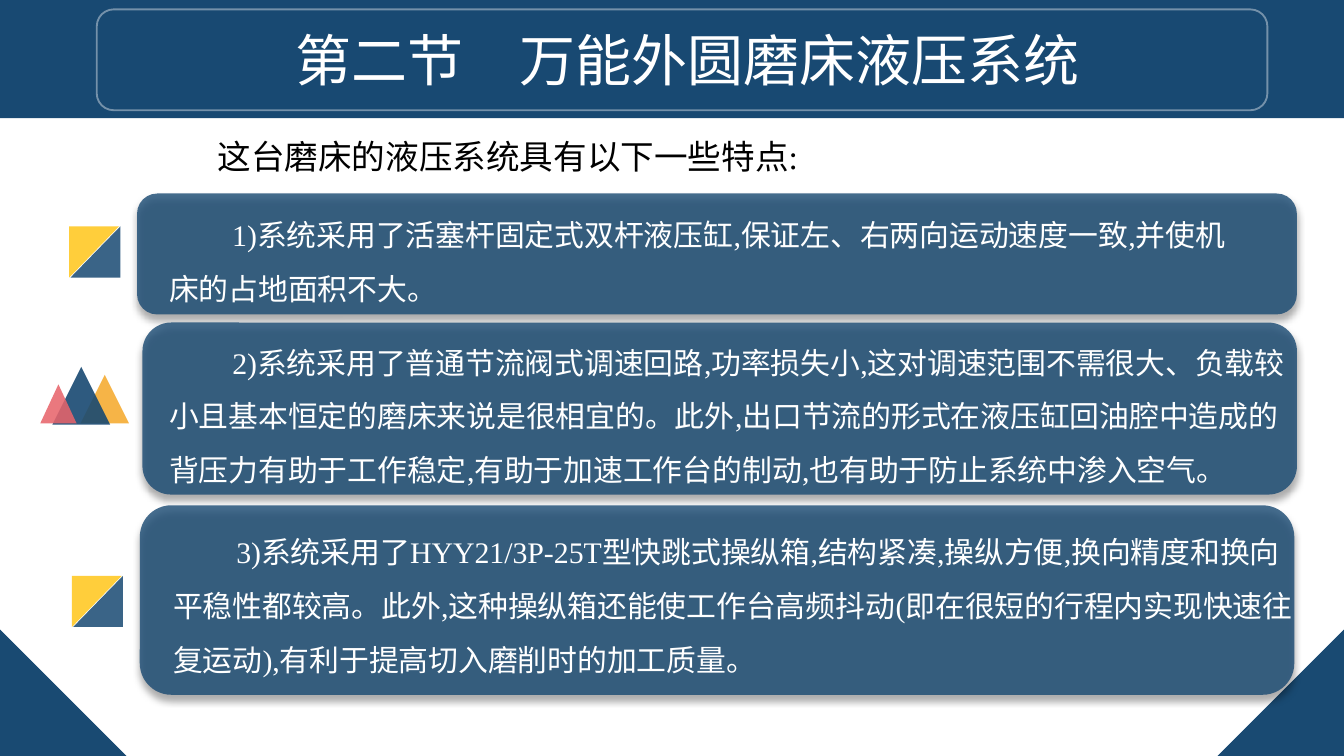
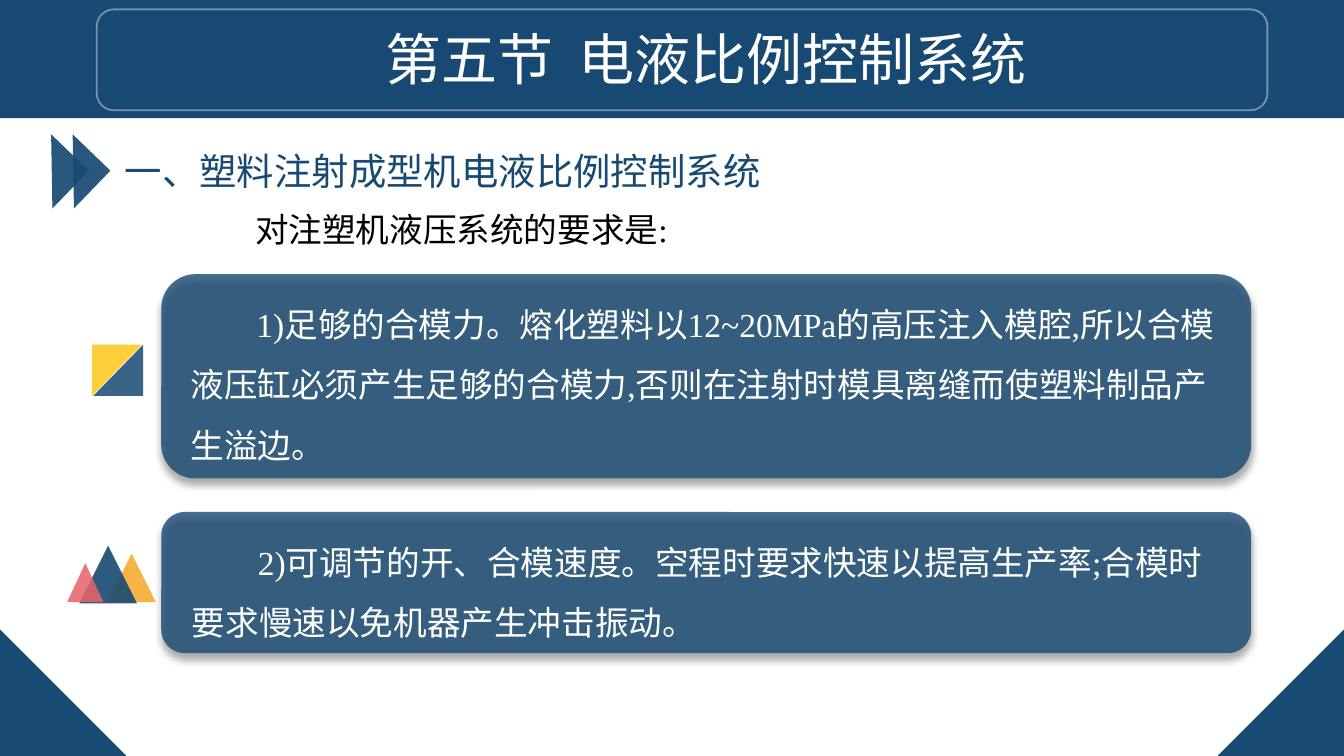
import pptx
import pptx.util
import pptx.dml.color
import pptx.enum.shapes
import pptx.enum.text
import pptx.oxml
import pptx.oxml.ns
from dataclasses import dataclass

Inches, Pt = pptx.util.Inches, pptx.util.Pt
SHAPE = pptx.enum.shapes.MSO_SHAPE
qn = pptx.oxml.ns.qn

# Content: boxes are (left, top, width, height) in inches
SLIDES = [
    {
        "title": ("第二节　万能外圆磨床液压系统", (0.94, 0.14, 8.35, 0.61)),
        "intro": ("这台磨床的液压系统具有以下一些特点:", (1.03, 0.96, 8.84, 0.4)),
        "card_size": 16,
        "card_indent": 0.47,
        "cards": [
            {"text": "1)系统采用了活塞杆固定式双杆液压缸,保证左、右两向运动速度一致,并使机床的占地面积不大。",
             "card": (1.02, 1.44, 8.63, 0.9), "text_box": (1.16, 1.43, 8.23, 0.86),
             "icon": ("square", 0.51, 1.69)},
            {"text": "2)系统采用了普通节流阀式调速回路,功率损失小,这对调速范围不需很大、负载较小且基本恒定的磨床来说是很相宜的。"
                     "此外,出口节流的形式在液压缸回油腔中造成的背压力有助于工作稳定,有助于加速工作台的制动,也有助于防止系统中渗入空气。",
             "card": (1.06, 2.4, 8.59, 1.28), "text_box": (1.16, 2.38, 8.59, 1.26),
             "icon": ("peaks", 0.3, 2.73)},
            {"text": "3)系统采用了HYY21/3P-25T型快跳式操纵箱,结构紧凑,操纵方便,换向精度和换向平稳性都较高。"
                     "此外,这种操纵箱还能使工作台高频抖动(即在很短的行程内实现快速往复运动),有利于提高切入磨削时的加工质量。",
             "card": (1.04, 3.76, 8.59, 1.41), "text_box": (1.19, 3.79, 8.54, 1.26),
             "icon": ("square", 0.53, 4.29)},
        ],
    },
    {
        "title": ("第五节  电液比例控制系统", (1.08, 0.13, 8.35, 1.11)),
        "heading": ("一、塑料注射成型机电液比例控制系统", (0.83, 1.05, 7.61, 0.44)),
        "intro": ("对注塑机液压系统的要求是:", (1.31, 1.64, 3.8, 0.28)),
        "intro_format": {"spacing": Pt(12), "wrap": False},
        "card_size": 18,
        "card_indent": 0.49,
        "cards": [
            {"text": "1)足够的合模力。熔化塑料以12~20MPa的高压注入模腔,所以合模液压缸必须产生足够的合模力,否则在注射时模具离缝而使塑料制品产生溢边。",
             "card": (1.2, 2.04, 8.11, 1.52), "text_box": (1.32, 2.06, 7.86, 1.41),
             "icon": ("square", 0.68, 2.57)},
            {"text": "2)可调节的开、合模速度。空程时要求快速以提高生产率;合模时要求慢速以免机器产生冲击振动。",
             "card": (1.2, 3.81, 8.11, 1.05), "text_box": (1.33, 3.83, 7.84, 0.95),
             "icon": ("peaks", 0.5, 4.06)},
        ],
    },
]


@dataclass(frozen=True)
class Theme:
    navy: str = "184972"
    white: str = "FFFFFF"
    black: str = "000000"
    yellow: str = "FFC000"
    orange: str = "F49F14"
    pink: str = "E8646B"
    font: str = "Times New Roman"
    title_size: int = 30
    heading_size: int = 20
    intro_size: int = 18
    intro_indent: float = 0.49


THEME = Theme()
WIDTH = 10
HEIGHT = WIDTH * 9 / 16
CORNER = 0.94

# Icon parts: (dx, dy, width, height, rotation, colour, opacity)
ICONS = {
    "square": [(0.01, 0, 0.38, 0.37, 270, THEME.navy, 85),
               (0, 0, 0.38, 0.37, 90, THEME.yellow, 77)],
    "peaks": [(0.3, 0.06, 0.36, 0.36, 0, THEME.orange, 78),
              (0.09, 0, 0.43, 0.43, 0, THEME.navy, 90),
              (0, 0.13, 0.27, 0.29, 0, THEME.pink, 87)],
}


# Drawing helpers
def rgb(colour):
    return pptx.dml.color.RGBColor.from_string(colour)


def set_opacity(properties, percent):
    """Add an alpha value to the first colour below the given element."""
    colour = next(properties.iter(qn("a:srgbClr")))
    colour.append(pptx.oxml.parse_xml(
        f'<a:alpha {pptx.oxml.ns.nsdecls("a")} val="{percent * 1000}"/>'))


def add_filled(shapes, kind, box, colour, opacity=100, rotation=0):
    shape = shapes.add_shape(kind, *map(Inches, box))
    shape.shadow.inherit = False
    shape.fill.solid()
    shape.fill.fore_color.rgb = rgb(colour)
    shape.line.fill.background()
    shape.rotation = rotation
    if opacity < 100:
        set_opacity(shape._element.spPr.find(qn("a:solidFill")), opacity)
    return shape


def format_text(frame, text, size, colour, indent=0, spacing=None, wrap=True):
    frame.text = text
    frame.word_wrap = wrap
    frame.vertical_anchor = pptx.enum.text.MSO_ANCHOR.TOP
    frame.auto_size = pptx.enum.text.MSO_AUTO_SIZE.SHAPE_TO_FIT_TEXT
    paragraph = frame.paragraphs[0]
    paragraph.font.name = THEME.font
    paragraph.font.size = Pt(size)
    paragraph.font.color.rgb = rgb(colour)
    if spacing:
        paragraph.line_spacing = spacing
    if indent:
        paragraph._p.get_or_add_pPr().set("indent", str(Inches(indent)))
    return paragraph


def add_text(slide, text, box, size, colour, **layout):
    text_box = slide.shapes.add_textbox(*map(Inches, box))
    format_text(text_box.text_frame, text, size, colour, **layout)


def add_card(slide, box):
    card = add_filled(slide.shapes, SHAPE.ROUNDED_RECTANGLE, box, THEME.navy, 80)
    effects = card._element.spPr.find(qn("a:effectLst"))
    effects.append(pptx.oxml.parse_xml(
        f'<a:outerShdw {pptx.oxml.ns.nsdecls("a")} blurRad="{Pt(4)}" dist="{Pt(3)}"'
        f' dir="5400000" rotWithShape="0"><a:srgbClr val="{THEME.black}">'
        '<a:alpha val="40000"/></a:srgbClr></a:outerShdw>'))


def add_icon(slide, name, left, top):
    group = slide.shapes.add_group_shape()
    for dx, dy, width, height, rotation, colour, opacity in ICONS[name]:
        part = add_filled(group.shapes, SHAPE.ISOSCELES_TRIANGLE,
                          (left + dx, top + dy, width, height), colour, opacity, rotation)
        if name == "square":
            part.adjustments[0] = 0


def add_heading(slide, text, box):
    add_text(slide, text, box, THEME.heading_size, THEME.navy)
    for left in (0.19, 0.35):
        add_filled(slide.shapes, SHAPE.RIGHT_TRIANGLE, (left, 1.08, 0.39, 0.39),
                   THEME.navy, 92, 224)


def add_corners(slide):
    return [add_filled(slide.shapes, SHAPE.RIGHT_TRIANGLE,
                       (left, HEIGHT - CORNER, CORNER, CORNER), THEME.navy, 92, rotation)
            for left, rotation in ((0, 0), (WIDTH - CORNER, 270))]


def add_title_frame(slide):
    frame = add_filled(slide.shapes, SHAPE.ROUNDED_RECTANGLE,
                       (0.72, 0.07, 8.71, 0.75), THEME.navy)
    frame.fill.background()
    frame.line.color.rgb = rgb(THEME.white)
    frame.line.width = Pt(1)
    set_opacity(frame.line._ln, 40)


# Band and base corners, moved from the slide to the shared layout
def decorate_layout(layout, slide):
    band = add_filled(slide.shapes, SHAPE.RECTANGLE, (0, 0, WIDTH, 0.88), THEME.navy)
    for number, shape in enumerate([band, *add_corners(slide)], 101):
        shape._element.nvSpPr.cNvPr.set("id", str(number))
        layout.shapes._spTree.append(shape._element)


def build_slide(slide, content):
    add_title_frame(slide)
    text, box = content["title"]
    title = slide.shapes.title
    title.left, title.top, title.width, title.height = map(Inches, box)
    paragraph = format_text(title.text_frame, text, THEME.title_size, THEME.white)
    paragraph.alignment = pptx.enum.text.PP_ALIGN.CENTER
    add_corners(slide)

    if "heading" in content:
        add_heading(slide, *content["heading"])
    add_text(slide, *content["intro"], THEME.intro_size, THEME.black,
             indent=THEME.intro_indent, **content.get("intro_format", {}))

    for card in content["cards"]:
        add_icon(slide, *card["icon"])
        add_card(slide, card["card"])
        add_text(slide, card["text"], card["text_box"], content["card_size"],
                 THEME.white, indent=content["card_indent"], spacing=1.5)


def main():
    presentation = pptx.Presentation()
    presentation.slide_width = Inches(WIDTH)
    presentation.slide_height = Inches(HEIGHT)
    layout = presentation.slide_layouts.get_by_name("Title Only")
    slides = [presentation.slides.add_slide(layout) for _ in SLIDES]
    decorate_layout(layout, slides[0])
    for slide, content in zip(slides, SLIDES):
        build_slide(slide, content)
    presentation.save("out.pptx")


if __name__ == "__main__":
    main()
